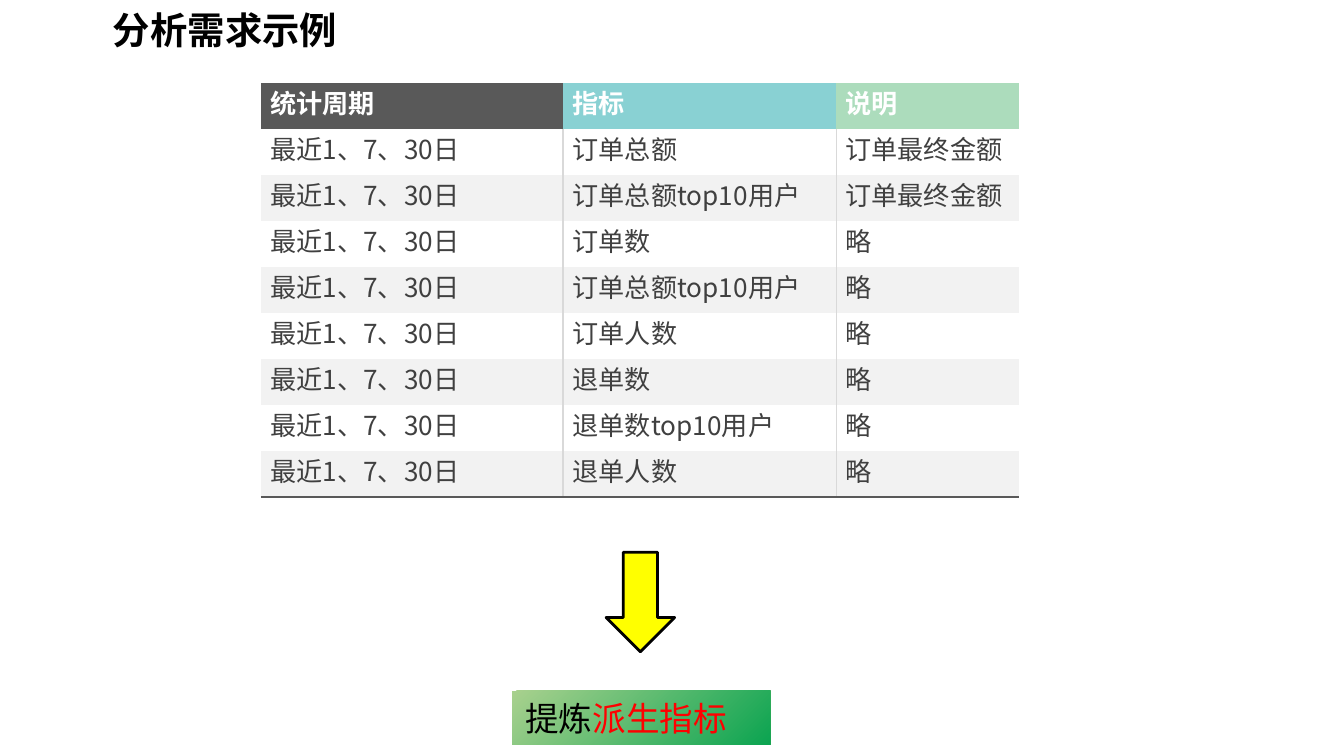
"""Builds a slide with a table of order metrics and the step that follows."""
import dataclasses

import lxml.etree
import pptx
import pptx.dml.color
import pptx.enum.shapes
import pptx.enum.text
import pptx.oxml.ns
import pptx.util

Inches = pptx.util.Inches
Pt = pptx.util.Pt
RGB = pptx.dml.color.RGBColor.from_string
qn = pptx.oxml.ns.qn
MIDDLE = pptx.enum.text.MSO_ANCHOR.MIDDLE
SHAPE = pptx.enum.shapes.MSO_SHAPE


@dataclasses.dataclass(frozen=True)
class Theme:
    black: str = "000000"
    white: str = "FFFFFF"
    red: str = "FF0000"
    yellow: str = "FFFF00"
    text: str = "404040"
    dark: str = "595959"
    rule: str = "D9D9D9"
    band: str = "F2F2F2"
    heads: tuple = ("595959", "89D1D3", "ACDCBC")
    blend: tuple = ("0CA451", "A9D18E")
    font: str = "Arial"
    cjk: str = "Noto Sans CJK SC"
    title: int = 20
    label: int = 18
    cell: int = 14


theme = Theme()


def write(frame, text, size, color, font=theme.font, bold=False):
    para = frame.paragraphs[0]
    para.alignment = pptx.enum.text.PP_ALIGN.LEFT
    run = para.add_run()
    run.text = text
    run.font.size = Pt(size)
    run.font.bold = bold
    run.font.name = font
    run.font.color.rgb = RGB(color)
    east = lxml.etree.SubElement(run.font._element, qn("a:ea"))
    east.set("typeface", theme.cjk)


def edge(cell, side, color, width):
    props = cell._tc.get_or_add_tcPr()
    line = lxml.etree.SubElement(props, qn("a:ln" + side), w=str(Pt(width)))
    fill = lxml.etree.SubElement(line, qn("a:solidFill"))
    lxml.etree.SubElement(fill, qn("a:srgbClr"), val=color)


deck = pptx.Presentation()
deck.slide_width = Inches(10)
deck.slide_height = deck.slide_width * 9 // 16
slide = deck.slides.add_slide(deck.slide_layouts[5])

title = slide.shapes.title
title.left, title.top = Inches(0.74), Inches(0)
title.width, title.height = Inches(1.87), Inches(0.44)
title.text_frame.word_wrap = False
title.text_frame.auto_size = pptx.enum.text.MSO_AUTO_SIZE.NONE
title.text_frame.vertical_anchor = MIDDLE
write(title.text_frame, "分析需求示例", theme.title, theme.black, bold=True)

label = slide.shapes.add_shape(
    SHAPE.RECTANGLE, Inches(3.81), Inches(5.14), Inches(1.92), Inches(0.4))
label.shadow.inherit = False
label.line.fill.background()
label.fill.gradient()
for stop, color in zip(label.fill.gradient_stops, theme.blend):
    stop.color.rgb = RGB(color)
blend = label._element.spPr.find(qn("a:gradFill"))
blend.remove(blend.find(qn("a:lin")))
glow = lxml.etree.SubElement(blend, qn("a:path"), path="circle")
lxml.etree.SubElement(glow, qn("a:fillToRect"), l="100000", t="100000")
label.text_frame.word_wrap = True
label.text_frame.vertical_anchor = MIDDLE
write(label.text_frame, "提炼", theme.label, theme.black)
write(label.text_frame, "派生指标", theme.label, theme.red)

arrow = slide.shapes.add_shape(
    SHAPE.DOWN_ARROW, Inches(4.51), Inches(4.11), Inches(0.51), Inches(0.74))
arrow.shadow.inherit = False
arrow.fill.solid()
arrow.fill.fore_color.rgb = RGB(theme.yellow)
arrow.line.color.rgb = RGB(theme.black)
arrow.line.width = Pt(1.5)

period = "最近1、7、30日"
metrics = [
    ("订单总额", "订单最终金额"),
    ("订单总额top10用户", "订单最终金额"),
    ("订单数", "略"),
    ("订单总额top10用户", "略"),
    ("订单人数", "略"),
    ("退单数", "略"),
    ("退单数top10用户", "略"),
    ("退单人数", "略"),
]
rows = [("统计周期", "指标", "说明")] + [(period, *pair) for pair in metrics]
widths = (2.25, 2.03, 1.36)
sides = ({"R": 1}, {"L": 1, "R": 0.5}, {"L": 0.5})
height = Inches(3.08)

table = slide.shapes.add_table(
    len(rows), len(widths), Inches(1.94), Inches(0.62),
    Inches(sum(widths)), height).table
style = table._tbl.tblPr.find(qn("a:tableStyleId"))
style.text = "{2D5ABB26-0587-4C30-8999-92F81FD0307C}"
for col, width in zip(table.columns, widths):
    col.width = Inches(width)
for r, row in enumerate(rows):
    table.rows[r].height = height // len(rows)
    head = r == 0
    for c, text in enumerate(row):
        cell = table.cell(r, c)
        cell.margin_left = cell.margin_right = Inches(0.07)
        cell.margin_top = cell.margin_bottom = 0
        if not head:
            for side, width in sides[c].items():
                edge(cell, side, theme.rule, width)
        if r == len(rows) - 1:
            edge(cell, "B", theme.dark, 1.5)
        band = theme.white if r % 2 else theme.band
        cell.fill.solid()
        cell.fill.fore_color.rgb = RGB(theme.heads[c] if head else band)
        write(cell.text_frame, text, theme.cell,
              theme.white if head else theme.text, font=theme.cjk, bold=head)

deck.save("out.pptx")
